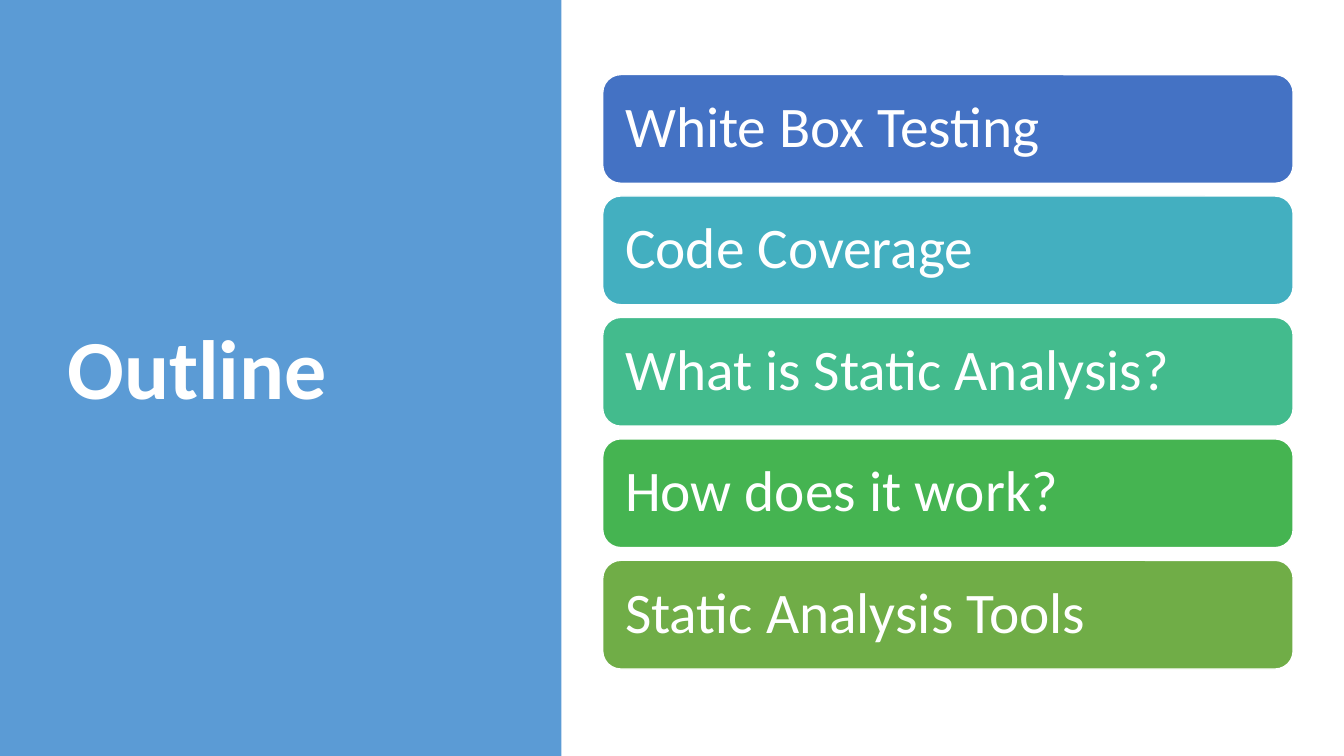
from pptx import Presentation
from pptx.dml.color import RGBColor
from pptx.enum.shapes import MSO_SHAPE
from pptx.enum.text import MSO_ANCHOR, MSO_AUTO_SIZE, PP_ALIGN
from pptx.util import Cm, Pt

RECT = MSO_SHAPE.RECTANGLE
ROUND = MSO_SHAPE.ROUNDED_RECTANGLE
MIDDLE = MSO_ANCHOR.MIDDLE
NO_FIT = MSO_AUTO_SIZE.NONE
LEFT = PP_ALIGN.LEFT

TOPICS = [
    ("White Box Testing", "4472C4"),
    ("Code Coverage", "43AFC0"),
    ("What is Static Analysis?", "43BB8D"),
    ("How does it work?", "45B451"),
    ("Static Analysis Tools", "70AD47"),
]


def paint(color):
    return RGBColor.from_string(color)


def write(frame, text, size, color="FFFFFF", bold=False, inset=0.25, font="Calibri"):
    frame.word_wrap = True
    frame.auto_size = NO_FIT
    frame.vertical_anchor = MIDDLE
    frame.margin_left = frame.margin_right = Cm(inset)
    frame.margin_top = frame.margin_bottom = Cm(inset)
    frame.text = text
    para = frame.paragraphs[0]
    para.alignment = LEFT
    para.line_spacing = 0.9
    para.font.name = font
    para.font.size = Pt(size)
    para.font.bold = bold
    para.font.color.rgb = paint(color)


class Deck:
    panel_fill = "5B9BD5"
    edge = "FFFFFF"

    def __init__(self, width, height):
        self.show = Presentation()
        self.show.slide_width = Cm(width)
        self.show.slide_height = Cm(height)
        self.slide = self.show.slides.add_slide(self.show.slide_layouts[5])

    def block(self, kind, box, fill):
        shape = self.slide.shapes.add_shape(kind, *map(Cm, box))
        shape.shadow.inherit = False
        shape.fill.solid()
        shape.fill.fore_color.rgb = paint(fill)
        shape.line.fill.background()
        return shape

    def panel(self, box):
        shape = self.block(RECT, box, self.panel_fill)
        self.slide.shapes.element.insert(2, shape.element)

    def title(self, text, box):
        head = self.slide.shapes.title
        head.left, head.top, head.width, head.height = map(Cm, box)
        write(head.text_frame, text, size=60, bold=True)

    def bar(self, text, box, fill):
        shape = self.block(ROUND, box, fill)
        shape.line.color.rgb = paint(self.edge)
        shape.line.width = Pt(1)
        write(shape.text_frame, text, size=41, inset=0.43)


def main():
    deck = Deck(33.87, 19.05)
    deck.panel((0, 0, 14.15, 19.05))
    deck.title("Outline", (1.45, 1.73, 10.57, 15.29))
    top, pitch = 1.88, 3.06
    for row, (topic, fill) in enumerate(TOPICS):
        deck.bar(topic, (15.19, top + row * pitch, 17.4, 2.74), fill)
    deck.show.save("out.pptx")


if __name__ == "__main__":
    main()
